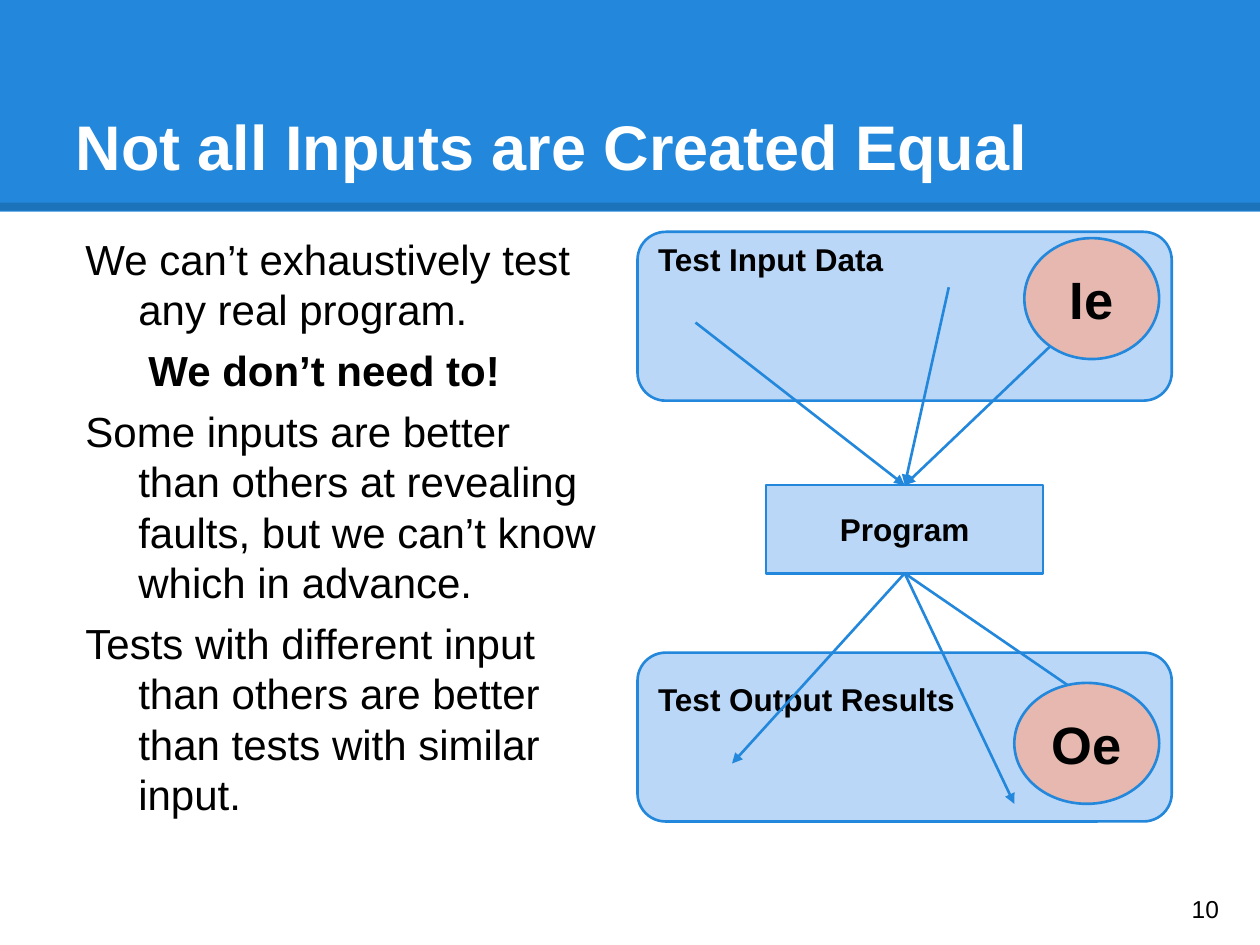
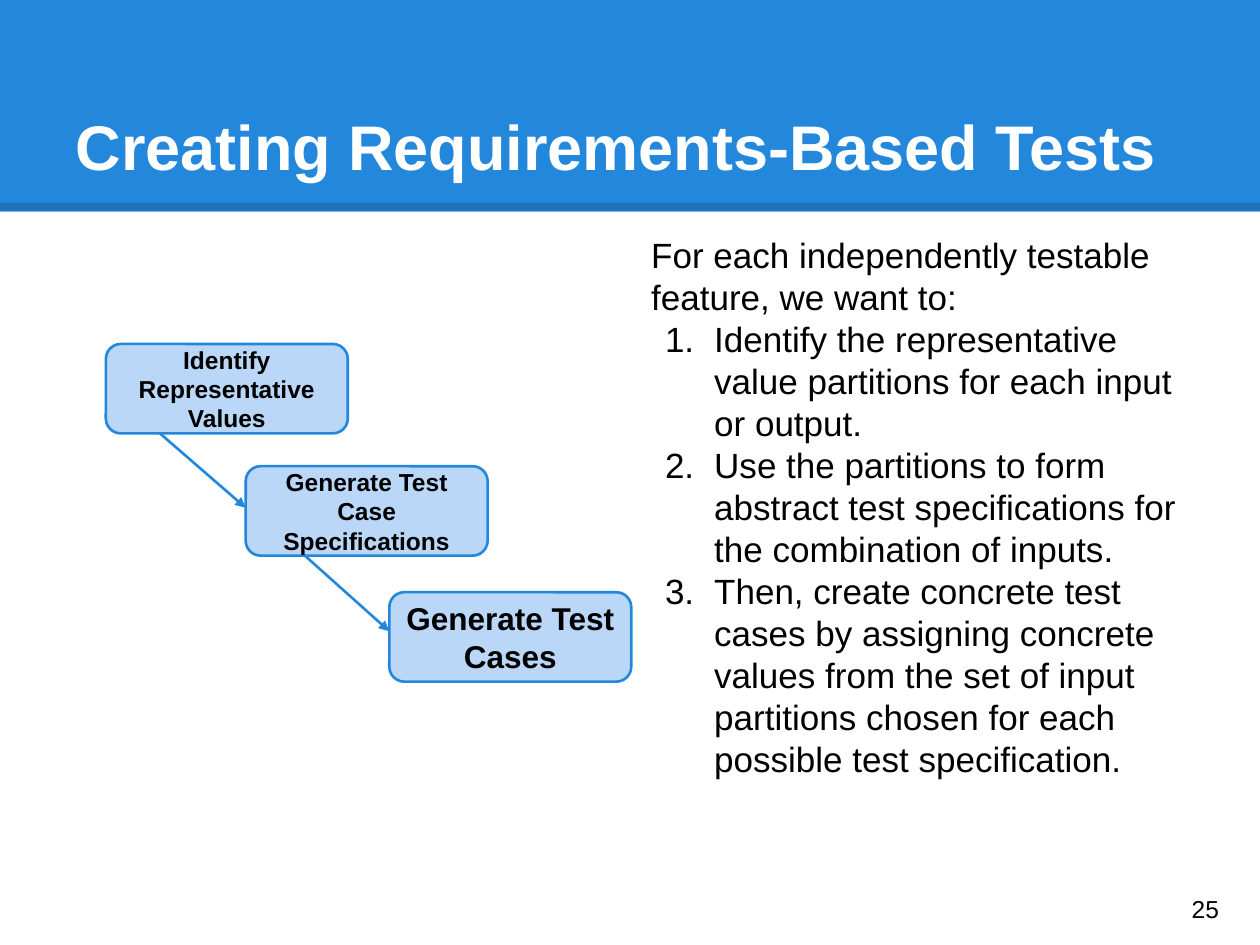
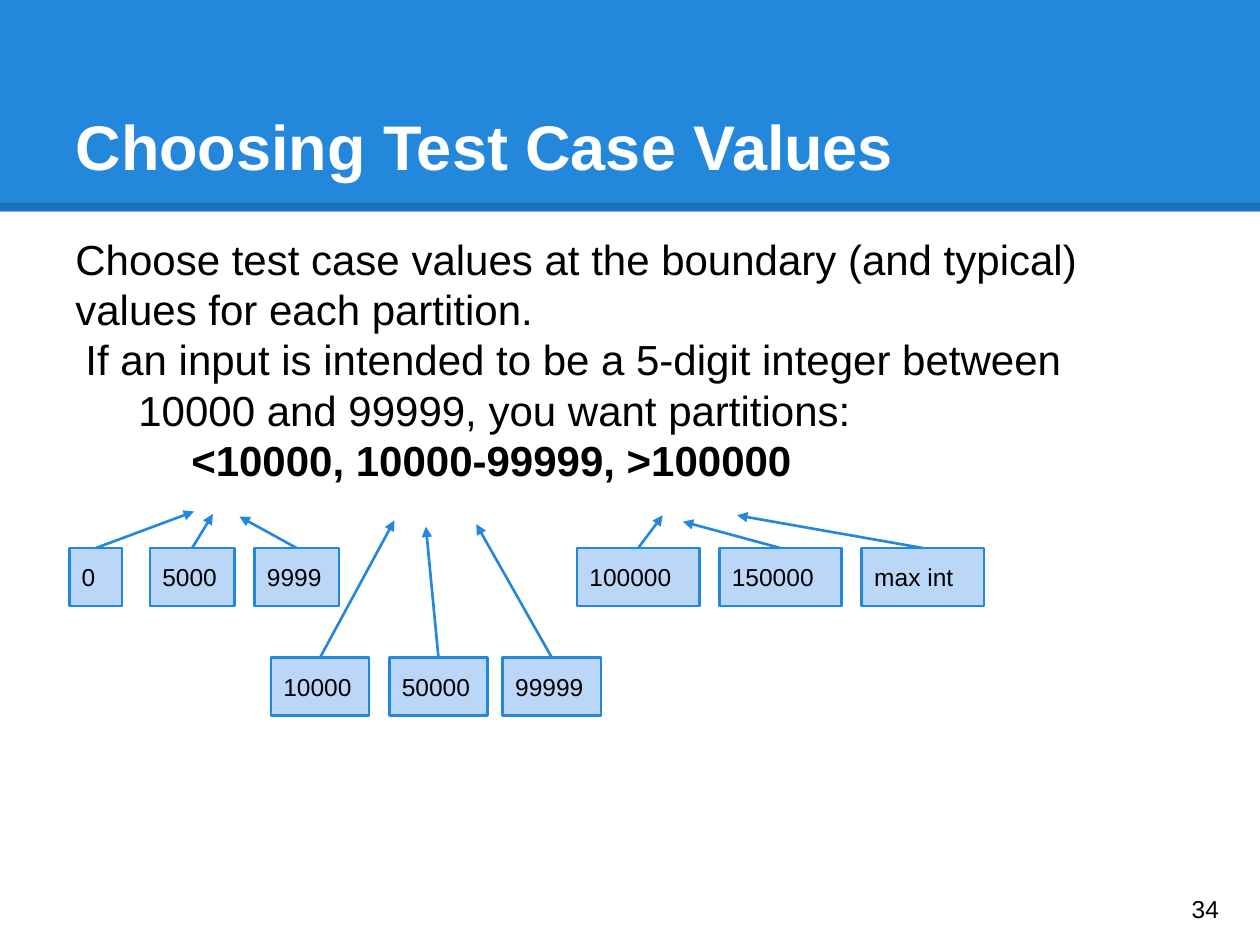
from lxml import etree
from pptx import Presentation
from pptx.dml.color import RGBColor
from pptx.enum import shapes, text
from pptx.oxml.ns import qn
from pptx.util import Inches, Pt

BLUE = RGBColor(0x23, 0x88, 0xDB)
PALE_BLUE = RGBColor(0xBB, 0xD7, 0xF8)
PINK = RGBColor(0xE6, 0xB8, 0xAF)
BLACK = RGBColor(0, 0, 0)
WHITE = RGBColor(0xFF, 0xFF, 0xFF)
FONT = "Arial"

RECT = shapes.MSO_SHAPE.RECTANGLE
ROUNDED = shapes.MSO_SHAPE.ROUNDED_RECTANGLE
OVAL = shapes.MSO_SHAPE.OVAL
TOP, MIDDLE, BOTTOM = (text.MSO_ANCHOR.TOP, text.MSO_ANCHOR.MIDDLE,
                       text.MSO_ANCHOR.BOTTOM)
LEFT, CENTER = text.PP_ALIGN.LEFT, text.PP_ALIGN.CENTER

# Body paragraphs: text, left margin, first-line indent, other settings
INPUT_POINTS = [
    ("We can’t exhaustively test any real program.", 0.5, -0.42, {}),
    ("We don’t need to!", 1, -0.42, {"bold": True}),
    ("Some inputs are better than others at revealing faults, "
     "but we can’t know which in advance.", 0.5, -0.42, {}),
    ("Tests with different input than others are better than tests "
     "with similar input.", 0.5, -0.42, {}),
]
TEST_STEPS = [
    ("For each independently testable feature, we want to:", 0, 0, {}),
    ("Identify the representative value partitions for each input or output.",
     0.5, -0.39, {"numbered": True}),
    ("Use the partitions to form abstract test specifications for the "
     "combination of inputs.", 0.5, -0.39, {"numbered": True}),
    ("Then, create concrete test cases by assigning concrete values from the "
     "set of input partitions chosen for each possible test specification.",
     0.5, -0.39, {"numbered": True}),
]
VALUE_POINTS = [
    ("Choose test case values at the boundary (and typical) values for each "
     "partition.", 0, 0, {}),
    ("If an input is intended to be a 5-digit integer between 10000 and "
     "99999, you want partitions:", 0.5, -0.42, {}),
    ("<10000, 10000-99999, >100000", 0.5, 0.42, {"bold": True}),
]

# Data sets: label, top, inset above the label
DATA_SETS = [("Test Input Data", 1.84, 0), ("Test Output Results", 5.18, 0.15)]
PROGRAM = (6.08, 3.85, 2.2, 0.7)
INPUT_STARTS = [(5.52, 2.56), (7.53, 2.28), (8.69, 2.41)]
OUTPUT_ENDS = [(5.81, 6.06), (8.05, 6.38), (9.03, 5.82)]
FAULT_SETS = [("Ie", (8.13, 1.89, 1.07, 0.96)), ("Oe", (8.05, 5.42, 1.15, 0.96))]

# Stages: label, left, top, text size
STAGES = [
    ("Identify Representative Values", 0.84, 2.73, 14),
    ("Generate Test Case Specifications", 1.95, 3.7, 14),
    ("Generate Test Cases", 3.09, 4.7, 18),
]
STAGE_WIDTH, STAGE_HEIGHT = 1.92, 0.71
STAGE_LINKS = [(1.27, 4.03), (2.42, 5.01)]  # start x, end y

# Partitions: top of the row, then label, left, width, arrow tip
PARTITIONS = [
    (4.35, [("0", 0.55, 0.42, (1.54, 4.06)),
            ("5000", 1.19, 0.67, (1.69, 4.08)),
            ("9999", 2.02, 0.67, (1.9, 4.1))]),
    (5.22, [("10000", 2.15, 0.78, (3.13, 4.13)),
            ("50000", 3.09, 0.78, (3.38, 4.18)),
            ("99999", 3.99, 0.78, (3.78, 4.16))]),
    (4.35, [("100000", 4.58, 0.97, (5.26, 4.09)),
            ("150000", 5.71, 0.97, (5.42, 4.14)),
            ("max int", 6.84, 0.97, (5.85, 4.09))]),
]
VALUE_HEIGHT = 0.46


def set_frame(frame, anchor, top_inset=0.1):
    frame.word_wrap = True
    frame.auto_size = text.MSO_AUTO_SIZE.NONE
    frame.vertical_anchor = anchor
    frame.margin_left = frame.margin_right = frame.margin_bottom = Inches(0.1)
    frame.margin_top = Inches(top_inset)


def write(para, words, size, bold=False, color=BLACK, align=LEFT):
    para.alignment = align
    span = para.add_run()
    span.text = words
    span.font.name = FONT
    span.font.size = Pt(size)
    span.font.bold = bold
    span.font.color.rgb = color


def add_shape(page, kind, place, fill, line=BLUE):
    shape = page.shapes.add_shape(kind, *map(Inches, place))
    shape.shadow.inherit = False
    shape.fill.solid()
    shape.fill.fore_color.rgb = fill
    if line is None:
        shape.line.fill.background()
    else:
        shape.line.color.rgb = line
        shape.line.width = Pt(1.5)
    return shape


def add_label_box(page, kind, place, words, size, bold=True, fill=PALE_BLUE,
                  align=CENTER, anchor=MIDDLE, top_inset=0.1):
    frame = add_shape(page, kind, place, fill).text_frame
    set_frame(frame, anchor, top_inset)
    write(frame.paragraphs[0], words, size, bold, align=align)


def add_line(page, start, end, color=BLUE, width=1.5):
    line = page.shapes.add_connector(shapes.MSO_CONNECTOR.STRAIGHT,
                                     *map(Inches, start + end))
    line.line.color.rgb = color
    line.line.width = Pt(width)
    etree.SubElement(line.element.spPr, qn("a:effectLst"))
    return line


def add_arrow(page, start, end):
    outline = add_line(page, start, end).element.spPr.find(qn("a:ln"))
    etree.SubElement(outline, qn("a:tailEnd"), type="triangle")


def add_text(page, place):
    box = page.shapes.add_textbox(*map(Inches, place))
    set_frame(box.text_frame, TOP)
    return box.text_frame


def add_body(page, place, points, size, gap=0):
    frame = add_text(page, place)
    for index, (words, margin, indent, style) in enumerate(points):
        para = frame.add_paragraph() if index else frame.paragraphs[0]
        props = para._p.get_or_add_pPr()
        props.set("marL", str(Inches(margin)))
        props.set("indent", str(Inches(indent)))
        if style.get("numbered"):
            etree.SubElement(props, qn("a:buFont"), typeface=FONT)
            etree.SubElement(props, qn("a:buAutoNum"), type="arabicPeriod")
        if index and gap:
            para.space_before = Pt(gap)
        write(para, words, size, style.get("bold", False))


def add_page(deck, heading, number):
    """Add a slide with the title band, title and page number."""
    page = deck.slides.add_slide(deck.slide_layouts[5])
    title = page.shapes.title
    band = add_shape(page, RECT, (0, 0, 10, 1.68), BLUE, line=None)
    edge = add_line(page, (0, 1.64), (10, 1.64), BLACK, 4.5)
    shade = edge.element.spPr.find(".//" + qn("a:srgbClr"))
    etree.SubElement(shade, qn("a:alpha"), val="15000")
    for part in (band, edge):
        title.element.addprevious(part.element)

    title.left, title.top, title.width, title.height = map(
        Inches, (0.5, 0.3, 9, 1.25))
    set_frame(title.text_frame, BOTTOM)
    write(title.text_frame.paragraphs[0], heading, 36, True, WHITE)

    footer = add_text(page, (9.36, 6.93, 0.6, 0.57))
    footer.vertical_anchor = MIDDLE
    write(footer.paragraphs[0], str(number), 14)
    return page


def build_inputs(deck):
    page = add_page(deck, "Not all Inputs are Created Equal", 10)
    add_body(page, (0.5, 1.75, 4.37, 5.43), INPUT_POINTS, 24, gap=6)
    for words, top, inset in DATA_SETS:
        add_label_box(page, ROUNDED, (5.06, top, 4.24, 1.34), words, 18,
                      align=LEFT, anchor=TOP, top_inset=inset)
    add_label_box(page, RECT, PROGRAM, "Program", 18)
    left, top, width, height = PROGRAM
    middle = left + width / 2
    for start in INPUT_STARTS:
        add_arrow(page, start, (middle, top))
    for end in OUTPUT_ENDS:
        add_arrow(page, (middle, top + height), end)
    for words, place in FAULT_SETS:
        add_label_box(page, OVAL, place, words, 30, fill=PINK)


def build_stages(deck):
    page = add_page(deck, "Creating Requirements-Based Tests", 25)
    for words, left, top, size in STAGES:
        add_label_box(page, ROUNDED, (left, top, STAGE_WIDTH, STAGE_HEIGHT),
                      words, size)
    for stage, following, (start_x, end_y) in zip(STAGES, STAGES[1:], STAGE_LINKS):
        add_arrow(page, (start_x, stage[2] + STAGE_HEIGHT),
                  (following[1], end_y))
    add_body(page, (5.07, 1.75, 4.37, 5.43), TEST_STEPS, 20)


def build_values(deck):
    page = add_page(deck, "Choosing Test Case Values", 34)
    add_body(page, (0.5, 1.75, 9, 1.02), VALUE_POINTS, 24)
    for top, values in PARTITIONS:
        for words, left, width, tip in values:
            add_label_box(page, RECT, (left, top, width, VALUE_HEIGHT), words,
                          14, bold=False, align=LEFT)
            add_arrow(page, (left + width / 2, top), tip)


def main():
    deck = Presentation()
    deck.slide_width, deck.slide_height = Inches(10), Inches(7.5)
    build_inputs(deck)
    build_stages(deck)
    build_values(deck)
    deck.save("out.pptx")


if __name__ == "__main__":
    main()
